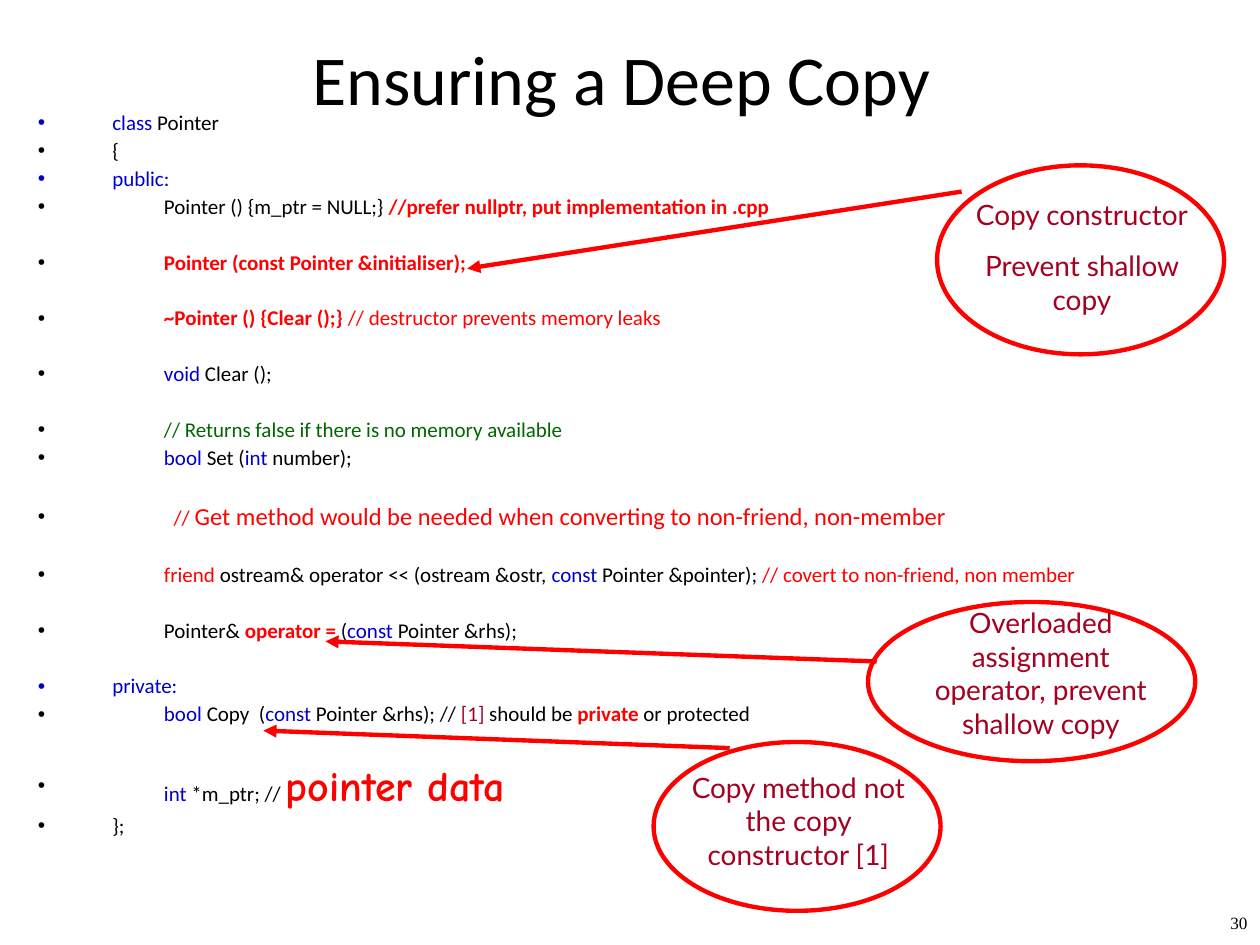
from dataclasses import dataclass

from lxml import etree
from pptx import Presentation
from pptx.dml.color import RGBColor
from pptx.enum.shapes import MSO_CONNECTOR, MSO_SHAPE
from pptx.enum.text import MSO_ANCHOR, MSO_AUTO_SIZE, PP_ALIGN
from pptx.oxml.ns import qn
from pptx.util import Pt

CENTER = PP_ALIGN.CENTER
RIGHT = PP_ALIGN.RIGHT
TOP = MSO_ANCHOR.TOP
NO_AUTOFIT = MSO_AUTO_SIZE.NONE
OVAL = MSO_SHAPE.OVAL
STRAIGHT = MSO_CONNECTOR.STRAIGHT

BLACK = RGBColor(0x00, 0x00, 0x00)
BLUE = RGBColor(0x00, 0x00, 0xCC)
RED = RGBColor(0xFF, 0x00, 0x00)
GREEN = RGBColor(0x00, 0x66, 0x00)
MAROON = RGBColor(0xA5, 0x00, 0x21)

LINE_GAP = 3
BLOCK_GAP = 19
HANGING_INDENT = 42.5
CODE_TAB = 72


@dataclass
class Token:
    text: str
    color: RGBColor = BLACK
    bold: bool = False
    size: float = 12
    font: str = "Calibri"


@dataclass
class CodeLine:
    tokens: list
    space_before: float = LINE_GAP
    tab: float = CODE_TAB
    level: int = 0


CODE_LINES = [
    CodeLine([Token("class", BLUE), Token(" Pointer")], 0),
    CodeLine([Token("{")]),
    CodeLine([Token("public:", BLUE)]),
    CodeLine([Token("\tPointer () {m_ptr = NULL;} "),
              Token("//prefer nullptr, put implementation in .cpp", RED, True)]),
    CodeLine([Token("\t"), Token("Pointer (const Pointer &initialiser);", RED, True)], BLOCK_GAP),
    CodeLine([Token("\t"), Token("~Pointer () {Clear ();}", RED, True),
              Token(" // destructor prevents memory leaks", RED)], BLOCK_GAP),
    CodeLine([Token("\t"), Token("void ", BLUE), Token("Clear ();")], BLOCK_GAP),
    CodeLine([Token("\t"), Token("// Returns false if there is no memory available", GREEN)],
             BLOCK_GAP),
    CodeLine([Token("\t"), Token("bool ", BLUE), Token("Set ("), Token("int", BLUE),
              Token(" number);")]),
    CodeLine([Token("\t"), Token("// ", RED),
              Token("Get method would be needed when converting to non-friend, non-member",
                    RED, size=14)], BLOCK_GAP + 0.5, 77.5, 1),
    CodeLine([Token("\t"), Token("friend ", RED), Token("ostream& operator << (ostream &ostr, "),
              Token("const", BLUE), Token(" Pointer &pointer); "),
              Token("// covert to non-friend, non member", RED)], BLOCK_GAP),
    CodeLine([Token("\tPointer& "), Token("operator =", RED, True), Token(" ("),
              Token("const", BLUE), Token(" Pointer &rhs);")], BLOCK_GAP),
    CodeLine([Token("private:", BLUE)], BLOCK_GAP),
    CodeLine([Token("\t"), Token("bool ", BLUE), Token("Copy  ("), Token("const", BLUE),
              Token(" Pointer &rhs); // "), Token("[1]", MAROON), Token(" should be "),
              Token("private", RED, True), Token(" or protected")]),
    CodeLine([Token("\t"), Token("int", BLUE), Token(" *m_ptr; // "),
              Token("pointer data", RED, True, 24, "Comic Neue")], BLOCK_GAP + 3),
    CodeLine([Token("};")]),
]

CALLOUTS = [
    ((535.5, 94.5, 164, 108), (544.5, 109.5, 147.5, 75),
     ["Copy constructor", "Prevent shallow copy"], (549.5, 109.5), (267, 153.5)),
    ((373.5, 424, 164, 96.5), (382.5, 436.5, 147.5, 65),
     ["Copy method not the copy constructor [1]"], (417, 427.5), (150.5, 417.5)),
    ((496, 344, 187, 91), (523.5, 342.5, 142.5, 104),
     ["Overloaded assignment operator, prevent shallow copy"], (501, 378), (186, 366.5)),
]


def points(values):
    return [Pt(value) for value in values]


def place(shape, box):
    shape.left, shape.top, shape.width, shape.height = points(box)


def format_font(font, size, name, color, bold=False):
    font.size = Pt(size)
    font.name = name
    font.color.rgb = color
    font.bold = bold


def add_title(slide):
    title = slide.shapes.title
    place(title, (31, 15, 648, 50))
    frame = title.text_frame
    frame.text = "Ensuring a Deep Copy"
    frame.auto_size = NO_AUTOFIT
    frame.vertical_anchor = TOP
    frame.margin_top = Pt(5.5)
    frame.paragraphs[0].alignment = CENTER
    format_font(frame.paragraphs[0].runs[0].font, 40, "Calibri", BLACK)


def add_bullet_and_tab(paragraph, color, tab):
    properties = paragraph._p.get_or_add_pPr()
    properties.set("marL", str(Pt(HANGING_INDENT)))
    properties.set("indent", str(-Pt(HANGING_INDENT)))
    bullet_color = etree.SubElement(properties, qn("a:buClr"))
    etree.SubElement(bullet_color, qn("a:srgbClr"), val=str(color))
    etree.SubElement(properties, qn("a:buFont"), typeface="Arial")
    etree.SubElement(properties, qn("a:buChar"), char="•")
    tabs = etree.SubElement(properties, qn("a:tabLst"))
    etree.SubElement(tabs, qn("a:tab"), pos=str(Pt(tab)), algn="l")


def add_code(slide):
    body = slide.placeholders[1]
    place(body, (14.5, 60.5, 692, 453.5))
    frame = body.text_frame
    frame.auto_size = NO_AUTOFIT
    frame.vertical_anchor = TOP
    for index, line in enumerate(CODE_LINES):
        paragraph = frame.add_paragraph() if index else frame.paragraphs[0]
        add_bullet_and_tab(paragraph, line.tokens[0].color, line.tab)
        paragraph.level = line.level
        paragraph.line_spacing = 0.9
        paragraph.space_before = Pt(line.space_before)
        for token in line.tokens:
            run = paragraph.add_run()
            run.text = token.text
            format_font(run.font, token.size, token.font, token.color, token.bold)


def add_label(slide, box, lines, size, font, color, alignment, line_spacing=1.0):
    frame = slide.shapes.add_textbox(*points(box)).text_frame
    frame.word_wrap = True
    for index, text in enumerate(lines):
        paragraph = frame.add_paragraph() if index else frame.paragraphs[0]
        paragraph.text = text
        paragraph.alignment = alignment
        paragraph.line_spacing = line_spacing
        paragraph.space_before = Pt(10 if index else 0)
        format_font(paragraph.runs[0].font, size, font, color)


def add_ellipse(slide, box):
    ellipse = slide.shapes.add_shape(OVAL, *points(box))
    ellipse.shadow.inherit = False
    ellipse.fill.background()
    ellipse.line.color.rgb = RED
    ellipse.line.width = Pt(2.5)


def add_arrow(slide, start, end):
    arrow = slide.shapes.add_connector(STRAIGHT, *points(start + end))
    arrow.line.color.rgb = RED
    arrow.line.width = Pt(2.5)
    properties = arrow._element.spPr
    etree.SubElement(properties.find(qn("a:ln")), qn("a:tailEnd"), type="triangle")
    etree.SubElement(properties, qn("a:effectLst"))


def main():
    presentation = Presentation()
    presentation.slide_width = Pt(720)
    presentation.slide_height = Pt(540)
    slide = presentation.slides.add_slide(presentation.slide_layouts[1])
    add_title(slide)
    add_code(slide)
    add_label(slide, (656.5, 520, 63.5, 20), ["30"], 9.8, "Times New Roman", BLACK, RIGHT, 0.8)
    for ellipse_box, label_box, lines, start, end in CALLOUTS:
        add_ellipse(slide, ellipse_box)
        add_label(slide, label_box, lines, 16, "Lato", MAROON, CENTER)
        add_arrow(slide, start, end)
    presentation.save("out.pptx")


if __name__ == "__main__":
    main()
